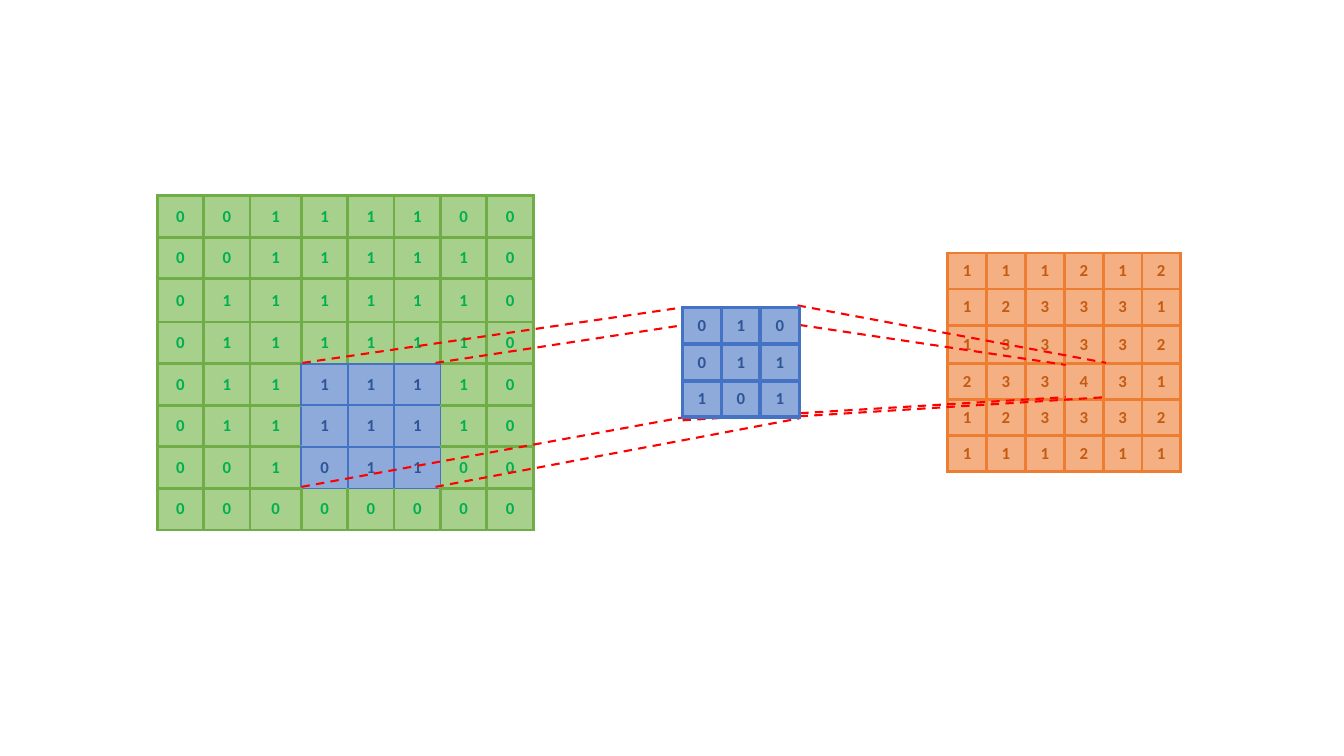
from lxml import etree
from pptx import Presentation
from pptx import util as u
from pptx.dml.color import RGBColor
from pptx.enum import dml, shapes, text
from pptx.oxml import ns

PX = u.Inches(1) // 100
FONT = "Calibri"
GREEN_FILL = RGBColor(0xA8, 0xD0, 0x8D)
GREEN_LINE = RGBColor(0x70, 0xAD, 0x47)
GREEN_TEXT = RGBColor(0x00, 0xB0, 0x50)
BLUE_FILL = RGBColor(0x8E, 0xAA, 0xDB)
BLUE_LINE = RGBColor(0x44, 0x72, 0xC4)
BLUE_TEXT = RGBColor(0x2F, 0x55, 0x97)
ORANGE_FILL = RGBColor(0xF4, 0xB0, 0x83)
ORANGE_LINE = RGBColor(0xED, 0x7D, 0x31)
ORANGE_TEXT = RGBColor(0xC5, 0x5A, 0x11)
RED = RGBColor(0xFF, 0x00, 0x00)

INPUT = ["00111100", "00111110", "01111110", "01111110",
         "01111110", "01111110", "00101100", "00000000"]
INPUT[6] = "00101100"
KERNEL = ["010", "011", "101"]
OUTPUT = ["111212", "123331", "133332", "233431", "123332", "111211"]

GREEN = (GREEN_FILL, GREEN_TEXT, GREEN_LINE, 2.25)
PATCH = (BLUE_FILL, BLUE_TEXT, BLUE_LINE, 1.5)
BLUE = (BLUE_FILL, BLUE_TEXT, BLUE_LINE, 3)
ORANGE = (ORANGE_FILL, ORANGE_TEXT, ORANGE_LINE, 2.25)
PATCH_CELLS = {(row, col) for row in range(4, 7) for col in range(3, 6)}
EDGES = [("lnL", 0, -1), ("lnR", 0, 1), ("lnT", -1, 0), ("lnB", 1, 0)]

PROJECTION = [
    (300, 360, 677, 305), (432, 360, 793, 305),
    (299, 483, 678, 414), (432, 483, 793, 415),
    (677, 417, 1057, 394), (677, 305, 1057, 362),
    (791, 303, 1097, 360), (793, 413, 1097, 394),
]


def set_sizes(tracks, attribute, total, third):
    common = (total - third) * PX // (len(tracks) - 1)
    for index, track in enumerate(tracks):
        setattr(track, attribute, third * PX if index == 2 else common)


def set_border(cell, position, edge, color, points):
    properties = cell._tc.get_or_add_tcPr()
    border = etree.Element(ns.qn("a:" + edge), w=str(u.Pt(points)))
    fill = etree.SubElement(border, ns.qn("a:solidFill"))
    etree.SubElement(fill, ns.qn("a:srgbClr"), val=str(color))
    etree.SubElement(border, ns.qn("a:prstDash"), val="solid")
    properties.insert(position, border)


def fill_cell(cell, value, fill, color):
    cell.fill.solid()
    cell.fill.fore_color.rgb = fill
    cell.margin_left = cell.margin_right = 7 * PX
    cell.margin_top = cell.margin_bottom = 0
    cell.vertical_anchor = text.MSO_ANCHOR.MIDDLE
    cell.text_frame.text = value
    paragraph = cell.text_frame.paragraphs[0]
    paragraph.alignment = text.PP_ALIGN.CENTER
    font = paragraph.runs[0].font
    font.name, font.size, font.bold = FONT, u.Pt(12), True
    font.color.rgb = color


def add_matrix(slide, values, box, third, style, patch=frozenset()):
    left, top, width, height = box
    matrix = slide.shapes.add_table(
        len(values), len(values[0]),
        left * PX, top * PX, width * PX, height * PX).table
    matrix.first_row = matrix.horz_banding = False
    set_sizes(matrix.columns, "width", width, third[0])
    set_sizes(matrix.rows, "height", height, third[1])
    for row, digits in enumerate(values):
        for col, digit in enumerate(digits):
            cell = matrix.cell(row, col)
            fill, color, _, _ = PATCH if (row, col) in patch else style
            fill_cell(cell, digit, fill, color)
            for position, (edge, down, right) in enumerate(EDGES):
                touching = {(row, col), (row + down, col + right)}
                border = PATCH if touching & patch else style
                set_border(cell, position, edge, *border[2:])


def add_dashed_line(slide, ends):
    line = slide.shapes.add_connector(
        shapes.MSO_CONNECTOR.STRAIGHT, *(end * PX for end in ends))
    line.line.color.rgb = RED
    line.line.width = u.Pt(1.5)
    line.line.dash_style = dml.MSO_LINE.DASH
    etree.SubElement(line._element.spPr, ns.qn("a:effectLst"))


def main():
    deck = Presentation()
    deck.slide_width, deck.slide_height = 1333 * PX, 750 * PX
    slide = deck.slides.add_slide(deck.slide_layouts[6])
    add_matrix(slide, INPUT, (156, 194, 373, 332), (51, 43), GREEN, PATCH_CELLS)
    add_matrix(slide, OUTPUT, (940, 251, 231, 217), (39, 38), ORANGE)
    for ends in PROJECTION:
        add_dashed_line(slide, ends)
    add_matrix(slide, KERNEL, (677, 305, 116, 109), (39, 36), BLUE)
    deck.save("out.pptx")


if __name__ == "__main__":
    main()
